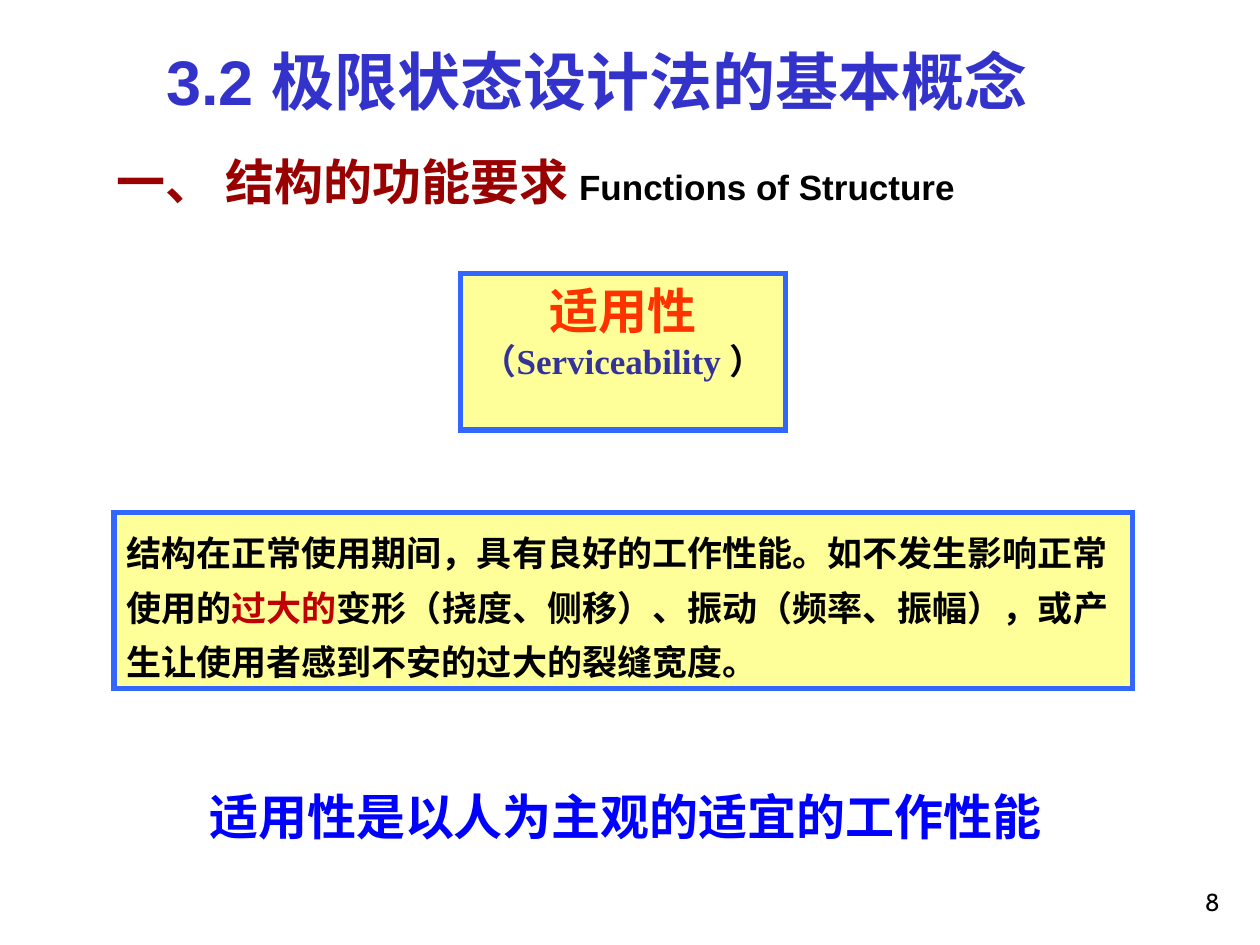
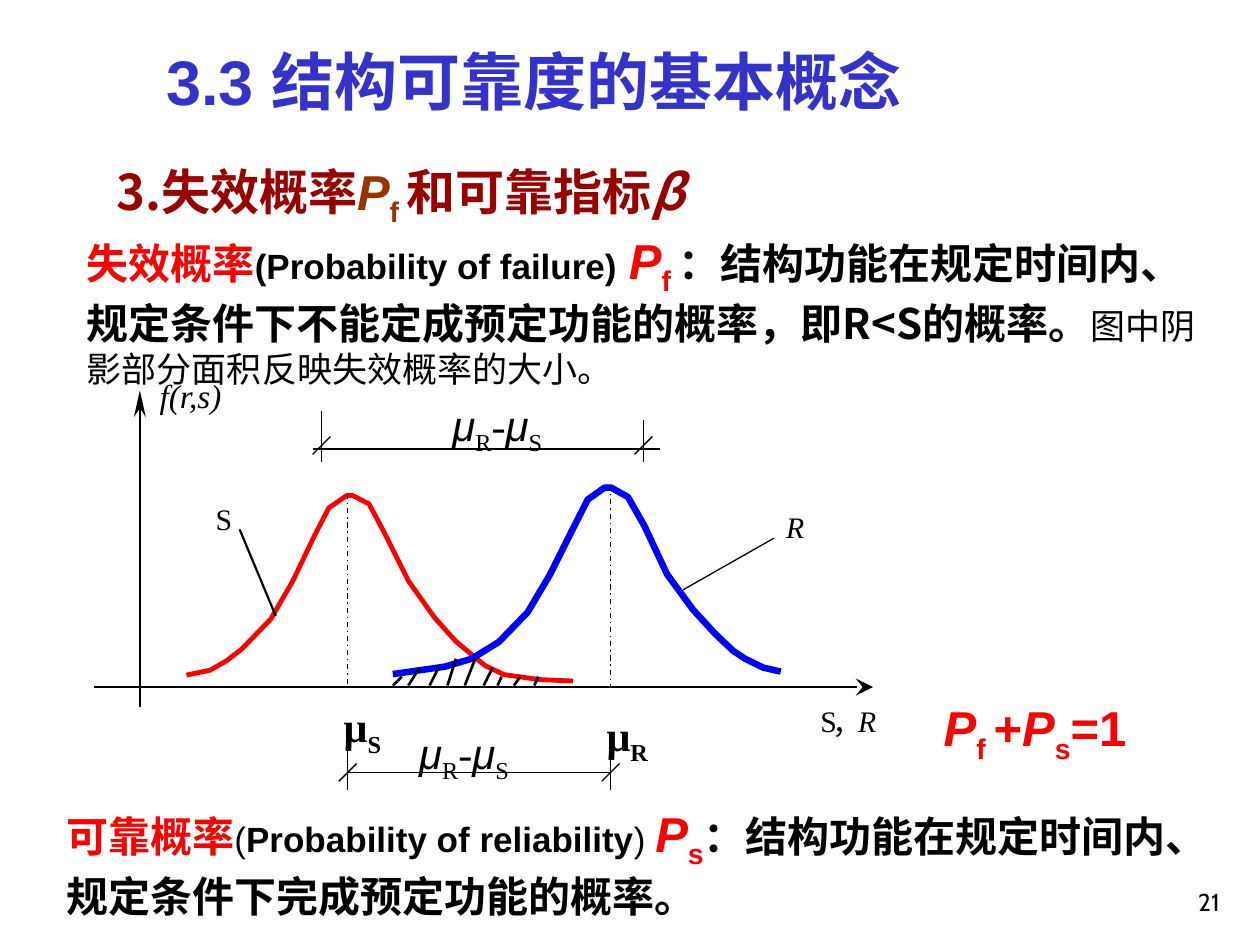
from lxml import etree
from pptx import Presentation
from pptx.dml.color import RGBColor
from pptx.enum.dml import MSO_LINE
from pptx.enum.shapes import MSO_CONNECTOR, MSO_SHAPE
from pptx.enum.text import MSO_ANCHOR, MSO_AUTO_SIZE, PP_ALIGN
from pptx.oxml.ns import qn
from pptx.util import Cm, Pt

LEFT, CENTER, RIGHT = PP_ALIGN.LEFT, PP_ALIGN.CENTER, PP_ALIGN.RIGHT
TOP, BOTTOM = MSO_ANCHOR.TOP, MSO_ANCHOR.BOTTOM
FIT, FIXED = MSO_AUTO_SIZE.SHAPE_TO_FIT_TEXT, MSO_AUTO_SIZE.NONE
STRAIGHT, RECT, DASH_DOT = MSO_CONNECTOR.STRAIGHT, MSO_SHAPE.RECTANGLE, MSO_LINE.DASH_DOT

# Shared look
BLACK, RED, BLUE = "000000", "FF0000", "0000FF"
TITLE_BLUE, MAROON, BROWN = "3333CC", "990000", "993300"
PANEL_FILL, PANEL_LINE = "FFFF99", "3366FF"
ARIAL, HAN, TIMES, CABIN = "Arial", "Noto Sans CJK SC", "Times New Roman", "Cabin"
TITLE_BOX = (3.1, 0.73, 21.21, 1.78)
NUMBER_BOX = (19.56, 17.33, 5.28, 1.27)
INSET = (0.25, 0.13)


def paint(target, colour):
    """Give a fill or a font a solid colour."""
    if hasattr(target, "solid"):
        target.solid()
        target.fore_color.rgb = RGBColor.from_string(colour)
    else:
        target.color.rgb = RGBColor.from_string(colour)


def place(shape, box):
    shape.left, shape.top, shape.width, shape.height = map(Cm, box)


def add_run(paragraph, text, size, colour, font=ARIAL, style=""):
    """Style letters: b bold, i italic, s subscript."""
    run = paragraph.add_run()
    run.text = text
    run.font.size = Pt(size)
    run.font.bold = "b" in style
    run.font.italic = "i" in style
    paint(run.font, colour)
    run.font.name = font
    properties = run.font._element
    etree.SubElement(properties, qn("a:ea")).set("typeface", HAN)
    if "s" in style:
        properties.set("baseline", "-25000")


def write(shape, runs, align=LEFT, anchor=TOP, inset=INSET, wrap=True, fit=FIT, spacing=None):
    frame = shape.text_frame
    frame.word_wrap, frame.auto_size, frame.vertical_anchor = wrap, fit, anchor
    frame.margin_left = frame.margin_right = Cm(inset[0])
    frame.margin_top = frame.margin_bottom = Cm(inset[1])
    paragraph = frame.paragraphs[0]
    paragraph.alignment = align
    # Keep closing punctuation inside the line
    paragraph._p.get_or_add_pPr().set("hangingPunct", "0")
    if spacing:
        paragraph.line_spacing = spacing
    for run in runs:
        add_run(paragraph, *run)


def add_text(slide, box, runs, **layout):
    write(slide.shapes.add_textbox(*map(Cm, box)), runs, **layout)


def add_panel(slide, box, runs, **layout):
    panel = slide.shapes.add_shape(RECT, *map(Cm, box))
    panel.shadow.inherit = False
    paint(panel.fill, PANEL_FILL)
    paint(panel.line.fill, PANEL_LINE)
    panel.line.width = Pt(3)
    etree.SubElement(panel.line._get_or_add_ln(), qn("a:miter")).set("lim", "800000")
    write(panel, runs, **layout)


def add_base(deck, title, number):
    """Slide with the shared title and page number."""
    slide = deck.slides.add_slide(deck.slide_layouts[5])
    place(slide.shapes.title, TITLE_BOX)
    write(slide.shapes.title, [(title, 36, TITLE_BLUE, ARIAL, "b")], fit=FIXED)
    add_text(slide, NUMBER_BOX, [(number, 14, BLACK, CABIN)],
             align=RIGHT, anchor=BOTTOM, fit=FIXED)
    return slide


class Plot:
    """Drawing area whose parts are placed in cm from its top left corner."""

    def __init__(self, slide, left, top):
        self.slide, self.left, self.top = slide, left, top

    def at(self, x, y):
        return Cm(self.left + x), Cm(self.top + y)

    def line(self, x1, y1, x2, y2, width=0.75, dash=None, arrow=False):
        connector = self.slide.shapes.add_connector(STRAIGHT, *self.at(x1, y1), *self.at(x2, y2))
        paint(connector.line.fill, BLACK)
        connector.line.width = Pt(width)
        if dash:
            connector.line.dash_style = dash
        if arrow:
            tail = etree.SubElement(connector.line._get_or_add_ln(), qn("a:tailEnd"))
            for key, value in (("type", "stealth"), ("w", "lg"), ("len", "lg")):
                tail.set(key, value)
        etree.SubElement(connector._element.spPr, qn("a:effectLst"))

    def outline(self, points, colour, width=None):
        """Open curve when a width is given, else a filled polygon."""
        start, *rest = [self.at(*point) for point in points]
        builder = self.slide.shapes.build_freeform(*start)
        builder.add_line_segments(rest, close=width is None)
        shape = builder.convert_to_shape()
        shape.shadow.inherit = False
        if width is None:
            paint(shape.fill, colour)
            shape.line.fill.background()
        else:
            shape.fill.background()
            paint(shape.line.fill, colour)
            shape.line.width = Pt(width)

    def label(self, box, runs, inset=(0, 0), wrap=False):
        x, y, width, height = box
        add_text(self.slide, (self.left + x, self.top + y, width, height), runs,
                 inset=inset, wrap=wrap)

    def dimension(self, y, ends, tops, bottom, reach, slash_y, label_at):
        """Dimension line with end ticks, slashes and the mean difference."""
        self.line(reach[0], y, reach[1], y)
        for x, tick_top in zip(ends, tops):
            self.line(x, tick_top, x, bottom)
            self.line(x + 0.18, slash_y - 0.18, x - 0.18, slash_y + 0.18)
        self.label((*label_at, 2.01, 1.17), [
            ("μ", 24, BLACK, ARIAL, "i"), ("R", 24, BLACK, TIMES, "s"),
            ("-", 24, BLACK, TIMES), ("μ", 24, BLACK, ARIAL, "i"),
            ("S", 24, BLACK, TIMES, "s")], wrap=True)


S_CURVE = [(1.86, 6.11), (2.34, 6.01), (2.67, 5.82), (2.98, 5.58), (3.56, 4.98),
           (4, 4.22), (4.45, 3.28), (4.73, 2.74), (5.09, 2.49), (5.21, 2.49),
           (5.54, 2.66), (5.86, 3.26), (6.34, 4.22), (6.86, 4.95), (7.29, 5.43),
           (7.65, 5.73), (7.88, 5.92), (8.26, 6.1), (8.97, 6.2), (9.65, 6.23)]
R_CURVE = [(6.02, 6.09), (7.07, 5.94), (7.61, 5.78), (8.16, 5.44), (8.74, 4.84),
           (9.19, 4.08), (9.66, 3.14), (9.95, 2.57), (10.29, 2.33), (10.42, 2.33),
           (10.76, 2.52), (11.09, 3.1), (11.55, 4.08), (12.07, 4.79), (12.53, 5.29),
           (12.88, 5.62), (13.12, 5.78), (13.49, 5.96), (13.84, 6.04)]
# Overlap hatching: upper x, upper y, lower x
HATCHES = [(6.2, 6.14, 6.02), (6.56, 5.96, 6.33), (6.94, 5.96, 6.76),
           (7.29, 5.78, 7.12), (7.68, 5.78, 7.47), (8.03, 5.96, 7.85),
           (8.21, 6.14, 8.13), (8.59, 6.14, 8.46), (8.95, 6.14, 8.87)]


def draw_distributions(slide, left, top):
    plot = Plot(slide, left, top)
    axis_y, foot_y, mean_s, mean_r = 6.35, 6.32, 5.11, 10.41

    # Axes
    plot.outline(S_CURVE, RED, 2.75)
    plot.line(0.92, 6.75, 0.92, 0.7, 1.13)
    plot.outline([(1.04, 0.91), (0.92, 0.37), (0.8, 0.91), (0.92, 0.73)], BLACK)
    plot.label((1.32, 0.07, 1.33, 0.81), [("f(r,s)", 19, BLACK, TIMES, "i")])
    plot.label((14.64, 6.67, 0.33, 0.71), [("S", 17, BLACK, TIMES)])
    plot.label((14.89, 6.7, 0.61, 0.71), [("，", 17, BLACK, HAN)])
    plot.label((15.4, 6.67, 0.38, 0.71), [("R", 17, BLACK, TIMES, "i")])
    plot.line(0, axis_y, 15.7, axis_y, arrow=True)

    # Resistance curve and curve names
    plot.outline(R_CURVE, BLUE, 3.75)
    plot.line(3.66, 4.92, 2.93, 3.17, 1.25)
    plot.label((2.2, 2.46, 0.84, 0.99), [("S", 17, BLACK, TIMES)], INSET)
    plot.line(11.87, 4.39, 13.7, 3.35)
    plot.label((13.7, 2.63, 0.86, 0.99), [("R", 17, BLACK, TIMES, "i")], INSET)

    # Means and hatching
    plot.line(mean_s, 2.46, mean_s, foot_y, dash=DASH_DOT)
    plot.line(mean_r, 2.28, mean_r, foot_y, dash=DASH_DOT)
    for upper_x, upper_y, lower_x in HATCHES:
        plot.line(upper_x, upper_y, lower_x, foot_y, 1.5)
    for box, name in (((4.78, 6.5, 1.3, 1.42), "S"), ((10.08, 6.67, 1.35, 1.42), "R")):
        plot.label(box, [("μ", 24, BLACK, TIMES, "b"), (name, 24, BLACK, TIMES, "bs")], INSET)

    # Distances between the means
    plot.dimension(8.07, (mean_s, mean_r), (7.38, 7.56), 8.43,
                   (mean_s, mean_r), 8.07, (6.55, 7.16))
    plot.dimension(1.55, (4.58, 11.07), (0.78, 0.96), 1.82,
                   (4.4, 11.41), 1.48, (7.22, 0.55))


def build_serviceability(deck):
    slide = add_base(deck, "3.2 极限状态设计法的基本概念", "8")
    add_text(slide, (2.1, 2.92, 19.2, 1.45), [
        ("一、 结构的功能要求 ", 28, MAROON, HAN, "b"),
        ("Functions of Structure", 20, BLACK, ARIAL, "b")])
    add_text(slide, (2.51, 15.72, 20.19, 1.45), [
        ("适用性是以人为主观的适宜的工作性能", 28, BLUE, ARIAL, "b")], align=CENTER)
    add_panel(slide, (9.29, 5.52, 6.55, 3.15), [
        ("适用性 ", 28, "FF3300", TIMES, "b"),
        ("（Serviceability ", 20, "333399", TIMES, "b"),
        ("）", 20, BLACK, TIMES, "b")], align=CENTER)
    add_panel(slide, (2.3, 10.33, 20.53, 3.55), [
        ("结构在正常使用期间，具有良好的工作性能。如不发生影响正常使用的", 20, BLACK, TIMES, "b"),
        ("过大的", 20, "C00000", TIMES, "b"),
        ("变形（挠度、侧移）、振动（频率、振幅），或产生让使用者感到不安的过大的裂缝宽度。",
         20, BLACK, TIMES, "b")], spacing=1.3)


def build_reliability(deck):
    slide = add_base(deck, "3.3 结构可靠度的基本概念", "21")
    add_text(slide, (2.1, 3.12, 22.4, 1.6), [
        ("3.失效概率", 28, MAROON, HAN, "b"), ("P", 28, BROWN, ARIAL, "bi"),
        ("f ", 28, BROWN, ARIAL, "bs"), ("和可靠指标", 28, MAROON, HAN, "b"),
        ("β", 28, MAROON, HAN, "bi")])

    # Definitions
    add_text(slide, (1.5, 4.52, 22.93, 3.48), [
        ("失效概率", 24, RED, ARIAL, "b"),
        ("(Probability of failure)", 20, BLACK, ARIAL, "b"), (" ", 24, BLACK, ARIAL, "b"),
        ("P", 28, RED, ARIAL, "bi"), ("f ", 28, RED, ARIAL, "bs"),
        ("：", 24, BLACK, ARIAL, "b"),
        ("结构功能在规定时间内、规定条件下不能定成预定功能的概率，即R<S的概率。",
         24, BLACK, HAN, "b"),
        ("图中阴影部分面积反映失效概率的大小。", 20, BLACK)])
    add_text(slide, (1.09, 16.06, 23.7, 2.62), [
        ("可靠概率", 24, RED, ARIAL, "b"), ("(", 20, BLACK),
        ("Probability of reliability", 20, BLACK, ARIAL, "b"), (") ", 20, BLACK),
        ("P", 28, RED, ARIAL, "bi"), ("s", 28, RED, ARIAL, "bs"),
        ("：结构功能在规定时间内、规定条件下完成预定功能的概率。", 24, BLACK, HAN, "b")])

    draw_distributions(slide, 1.9, 7.5)

    # Sum of both probabilities
    add_text(slide, (18.77, 13.94, 4.19, 1.6), [
        ("P", 28, RED, ARIAL, "bi"), ("f ", 28, RED, ARIAL, "bs"),
        ("+", 28, RED, ARIAL, "b"), ("P", 28, RED, ARIAL, "bi"),
        ("s", 28, RED, ARIAL, "bs"), ("=1", 28, RED, ARIAL, "b")],
        align=CENTER, wrap=False)


def main():
    deck = Presentation()
    deck.slide_width, deck.slide_height = Cm(25.4), Cm(19.05)
    build_serviceability(deck)
    build_reliability(deck)
    deck.save("out.pptx")


if __name__ == "__main__":
    main()
